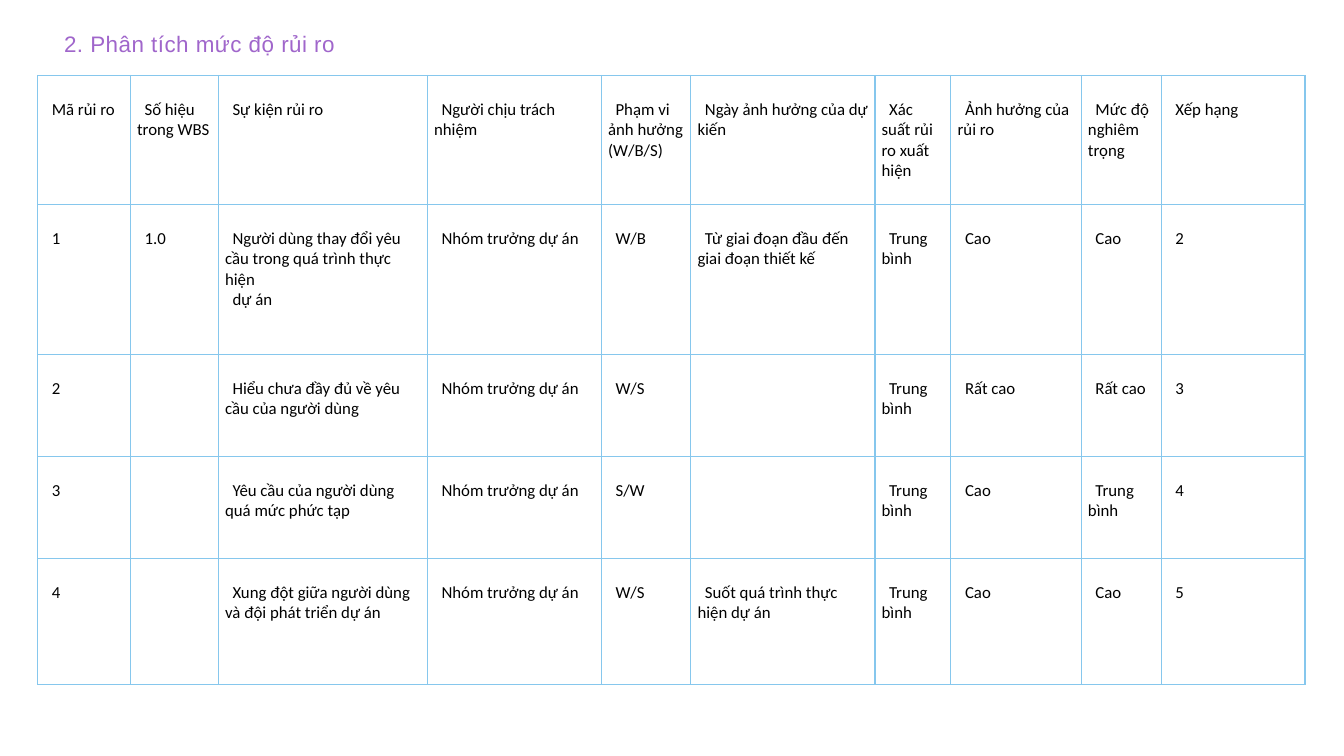
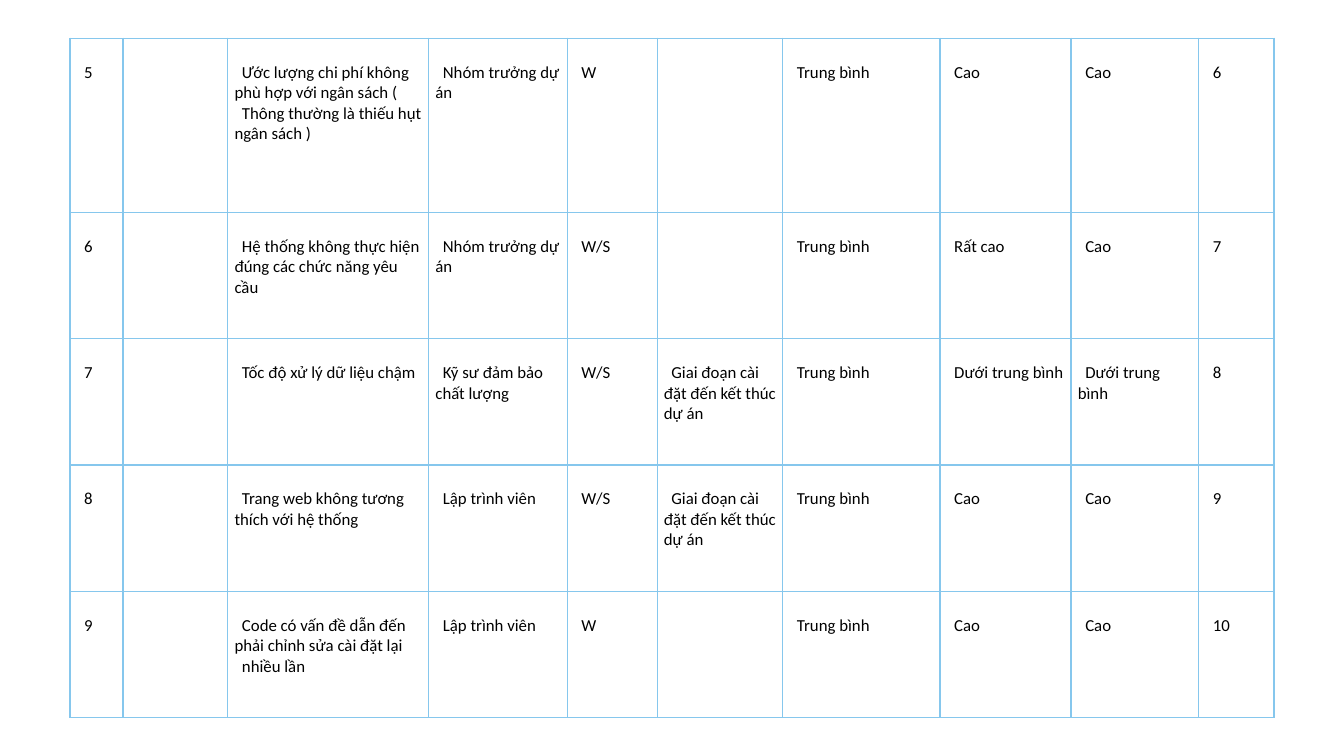
import pptx
import pptx.dml.color
import pptx.enum.text
import pptx.oxml
import pptx.oxml.ns
import pptx.util

Pt = pptx.util.Pt
BLACK = pptx.dml.color.RGBColor(0x00, 0x00, 0x00)
PURPLE = pptx.dml.color.RGBColor(0xA0, 0x66, 0xCB)
SKY_BLUE = pptx.dml.color.RGBColor(0x86, 0xC7, 0xED)
WHITE = pptx.dml.color.RGBColor(0xFF, 0xFF, 0xFF)

SLIDE_WIDTH, SLIDE_HEIGHT = 1440, 810
BORDER_WIDTH = 1.5
CELL_TOP_MARGIN = 25.6
CELL_INDENT = 8

LEADER = "Nhóm trưởng dự án"
DEVELOPER = "Lập trình viên"
MEDIUM = "Trung bình"
BELOW_MEDIUM = "Dưới trung bình"
HIGH = "Cao"
VERY_HIGH = "Rất cao"
SETUP_PHASE = "Giai đoạn cài đặt đến kết thúc dự án"

HEADINGS = (
    "Mã rủi ro", "Số hiệu trong WBS", "Sự kiện rủi ro", "Người chịu trách nhiệm",
    "Phạm vi ảnh hưởng (W/B/S)", "Ngày ảnh hưởng của dự kiến", "Xác suất rủi ro xuất hiện",
    "Ảnh hưởng của rủi ro", "Mức độ nghiêm trọng", "Xếp hạng",
)
FIRST_RISKS = (
    ("1", "1.0", "Người dùng thay đổi yêu cầu trong quá trình thực hiện\ndự án", LEADER, "W/B",
     "Từ giai đoạn đầu đến giai đoạn thiết kế", MEDIUM, HIGH, HIGH, "2"),
    ("2", "", "Hiểu chưa đầy đủ về yêu cầu của người dùng", LEADER, "W/S",
     "", MEDIUM, VERY_HIGH, VERY_HIGH, "3"),
    ("3", "", "Yêu cầu của người dùng quá mức phức tạp", LEADER, "S/W",
     "", MEDIUM, HIGH, MEDIUM, "4"),
    ("4", "", "Xung đột giữa người dùng và đội phát triển dự án", LEADER, "W/S",
     "Suốt quá trình thực hiện dự án", MEDIUM, HIGH, HIGH, "5"),
)
LATER_RISKS = (
    ("5", "", "Ước lượng chi phí không phù hợp với ngân sách (\nThông thường là thiếu hụt ngân sách )",
     LEADER, "W", "", MEDIUM, HIGH, HIGH, "6"),
    ("6", "", "Hệ thống không thực hiện đúng các chức năng yêu cầu", LEADER, "W/S",
     "", MEDIUM, VERY_HIGH, HIGH, "7"),
    ("7", "", "Tốc độ xử lý dữ liệu chậm", "Kỹ sư đảm bảo chất lượng", "W/S",
     SETUP_PHASE, MEDIUM, BELOW_MEDIUM, BELOW_MEDIUM, "8"),
    ("8", "", "Trang web không tương thích với hệ thống", DEVELOPER, "W/S",
     SETUP_PHASE, MEDIUM, HIGH, HIGH, "9"),
    ("9", "", "Code có vấn đề dẫn đến phải chỉnh sửa cài đặt lại\nnhiều lần", DEVELOPER, "W",
     "", MEDIUM, HIGH, HIGH, "10"),
)

SLIDES = (
    {
        "title": "2. Phân tích mức độ rủi ro",
        "rows": (HEADINGS,) + FIRST_RISKS,
        "left": 40.3, "top": 80.9,
        "widths": (99.4, 94.3, 223.9, 186.5, 95.8, 197.3, 81.4, 139.7, 85.7, 154.1),
        "heights": (138, 160.6, 109.4, 109.4, 135.4),
    },
    {
        "title": "",
        "rows": LATER_RISKS,
        "left": 74.9, "top": 41,
        "widths": (56.9, 112.3, 215.3, 148.3, 96.5, 134.6, 168.5, 140.4, 136.8, 80.6),
        "heights": (186.5, 135.4, 135.4, 135.4, 135.4),
    },
)


def write_text(text_frame, text, font="Calibri", size=18, color=BLACK, align=None,
               indent=0, line_spacing=None, tracking=None):
    for index, line in enumerate(text.split("\n")):
        paragraph = text_frame.paragraphs[0] if index == 0 else text_frame.add_paragraph()
        paragraph.alignment = align
        if line_spacing:
            paragraph.line_spacing = Pt(line_spacing)
        if indent:
            properties = paragraph._p.get_or_add_pPr()
            properties.set("marL", "0")
            properties.set("indent", str(Pt(indent)))
        run = paragraph.add_run()
        run.text = line
        run.font.name = font
        run.font.size = Pt(size)
        run.font.color.rgb = color
        if tracking:
            run._r.get_or_add_rPr().set("spc", str(int(tracking * 100)))


def draw_borders(cell):
    properties = cell._tc.get_or_add_tcPr()
    for side in ("lnL", "lnR", "lnT", "lnB"):
        properties.append(pptx.oxml.parse_xml(
            f'<a:{side} {pptx.oxml.ns.nsdecls("a")} w="{Pt(BORDER_WIDTH)}">'
            f'<a:solidFill><a:srgbClr val="{SKY_BLUE}"/></a:solidFill></a:{side}>'))


def add_risk_table(slide, rows, left, top, widths, heights):
    table = slide.shapes.add_table(len(rows), len(widths), Pt(left), Pt(top),
                                   Pt(sum(widths)), Pt(sum(heights))).table
    table.first_row = False
    table.horz_banding = False
    for column, width in zip(table.columns, widths):
        column.width = Pt(width)
    for table_row, height, texts in zip(table.rows, heights, rows):
        table_row.height = Pt(height)
        for cell, text in zip(table_row.cells, texts):
            draw_borders(cell)
            cell.fill.background()
            cell.margin_top = Pt(CELL_TOP_MARGIN)
            if text:
                write_text(cell.text_frame, text, indent=CELL_INDENT)


def add_title(slide, text):
    text_frame = slide.shapes.add_textbox(Pt(59), Pt(29.5), Pt(309.6), Pt(31.7)).text_frame
    text_frame.word_wrap = True
    text_frame.auto_size = pptx.enum.text.MSO_AUTO_SIZE.SHAPE_TO_FIT_TEXT
    text_frame.margin_left = text_frame.margin_right = 0
    text_frame.margin_top = text_frame.margin_bottom = 0
    write_text(text_frame, text, font="Arial", size=24, color=PURPLE,
               align=pptx.enum.text.PP_ALIGN.CENTER, line_spacing=31.2, tracking=0.5)


def main():
    presentation = pptx.Presentation()
    presentation.slide_width = Pt(SLIDE_WIDTH)
    presentation.slide_height = Pt(SLIDE_HEIGHT)
    for content in SLIDES:
        slide = presentation.slides.add_slide(presentation.slide_layouts[6])
        slide.background.fill.solid()
        slide.background.fill.fore_color.rgb = WHITE
        add_risk_table(slide, content["rows"], content["left"], content["top"],
                       content["widths"], content["heights"])
        if content["title"]:
            add_title(slide, content["title"])
    presentation.save("out.pptx")


if __name__ == "__main__":
    main()
